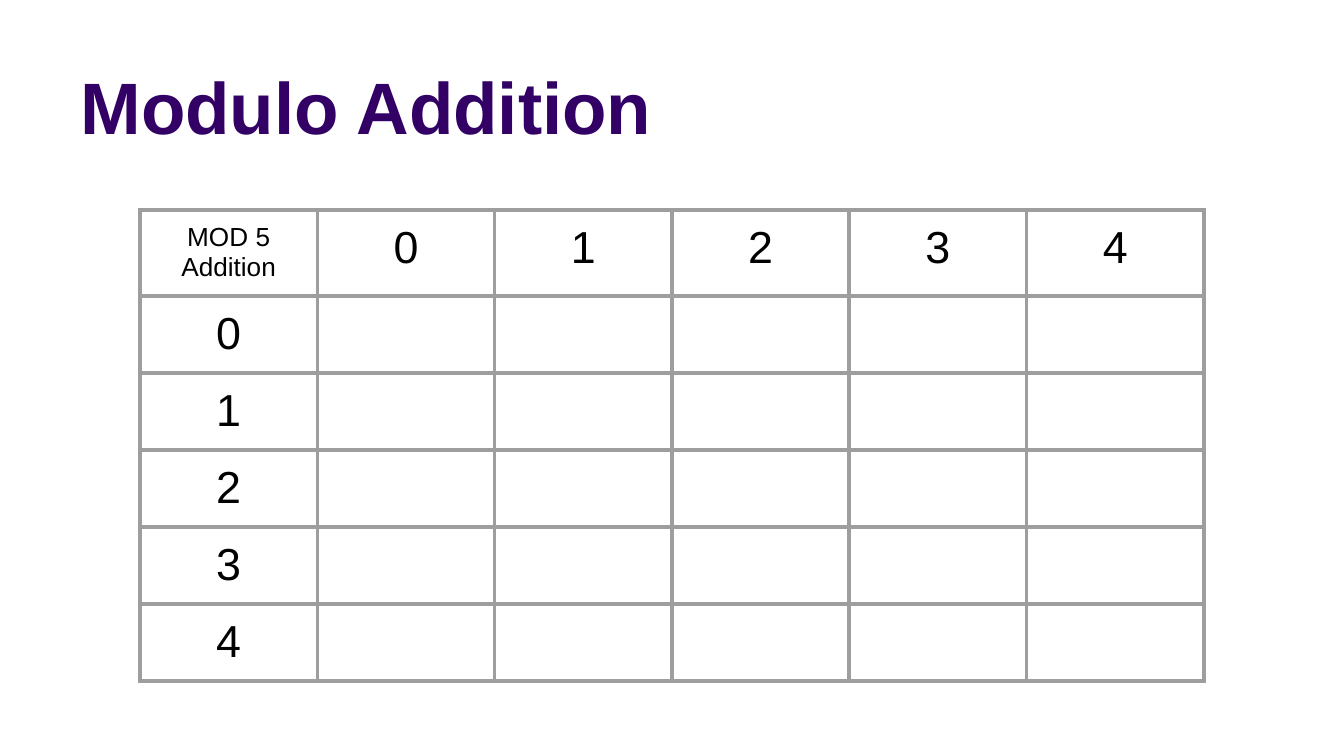
"""Build the Modulo Addition slide with an empty mod 5 addition table."""
from lxml import etree
from pptx import Presentation
from pptx.dml.color import RGBColor
from pptx.enum.text import MSO_ANCHOR, MSO_AUTO_SIZE, PP_ALIGN
from pptx.oxml.ns import qn
from pptx.util import Pt

TOP, BOTTOM = MSO_ANCHOR.TOP, MSO_ANCHOR.BOTTOM
LEFT, CENTER = PP_ALIGN.LEFT, PP_ALIGN.CENTER
NO_AUTOFIT = MSO_AUTO_SIZE.NONE

TITLE = "Modulo Addition"
CORNER = "MOD 5 Addition"
RESIDUES = ["0", "1", "2", "3", "4"]
ROWS = [[CORNER] + RESIDUES] + [[residue] + [""] * len(RESIDUES) for residue in RESIDUES]

FONT = "Arial"
PURPLE, BLACK, WHITE, GRAY = "330066", "000000", "FFFFFF", "9E9E9E"
SLIDE_SIZE = (1344, 756)
TITLE_BOX = (67, 13, 1109, 143)
TABLE_LEFT, TABLE_TOP, TABLE_WIDTH = 140, 210, 1064
HEADER_HEIGHT, ROW_HEIGHT = 86, 77
CELL_MARGIN = 13
BORDER_WIDTH = 2.25


def px(length):
    return round(length * 914400 / 134.4)


def color(value):
    return RGBColor.from_string(value)


def style(paragraph, size, ink, align, bold=False):
    paragraph.alignment = align
    for run in paragraph.runs:
        run.font.name = FONT
        run.font.size = Pt(size)
        run.font.bold = bold
        run.font.color.rgb = color(ink)


def add_borders(cell):
    properties = cell._tc.get_or_add_tcPr()
    for index, side in enumerate(("a:lnL", "a:lnR", "a:lnT", "a:lnB")):
        border = etree.Element(qn(side), w=str(Pt(BORDER_WIDTH)))
        fill = etree.SubElement(border, qn("a:solidFill"))
        etree.SubElement(fill, qn("a:srgbClr"), val=GRAY)
        properties.insert(index, border)


def add_title(slide):
    title = slide.shapes.title
    title.left, title.top, title.width, title.height = map(px, TITLE_BOX)
    frame = title.text_frame
    frame.text = TITLE
    frame.auto_size = NO_AUTOFIT
    frame.vertical_anchor = BOTTOM
    style(frame.paragraphs[0], 39, PURPLE, LEFT, bold=True)


def add_addition_table(slide):
    heights = [HEADER_HEIGHT] + [ROW_HEIGHT] * len(RESIDUES)
    table = slide.shapes.add_table(
        len(ROWS), len(ROWS[0]), px(TABLE_LEFT), px(TABLE_TOP),
        px(TABLE_WIDTH), px(sum(heights))).table
    table.first_row = table.horz_banding = False
    for column in table.columns:
        column.width = px(TABLE_WIDTH / len(ROWS[0]))
    for row, height, labels in zip(table.rows, heights, ROWS):
        row.height = px(height)
        for cell, label in zip(row.cells, labels):
            cell.text = label
            cell.vertical_anchor = TOP
            cell.margin_left = cell.margin_right = px(CELL_MARGIN)
            cell.margin_top = cell.margin_bottom = px(CELL_MARGIN)
            cell.fill.solid()
            cell.fill.fore_color.rgb = color(WHITE)
            add_borders(cell)
            style(cell.text_frame.paragraphs[0], 14 if label == CORNER else 24, BLACK, CENTER)


def main():
    presentation = Presentation()
    presentation.slide_width, presentation.slide_height = map(px, SLIDE_SIZE)
    slide = presentation.slides.add_slide(presentation.slide_layouts[5])
    add_title(slide)
    add_addition_table(slide)
    presentation.save("out.pptx")


if __name__ == "__main__":
    main()
